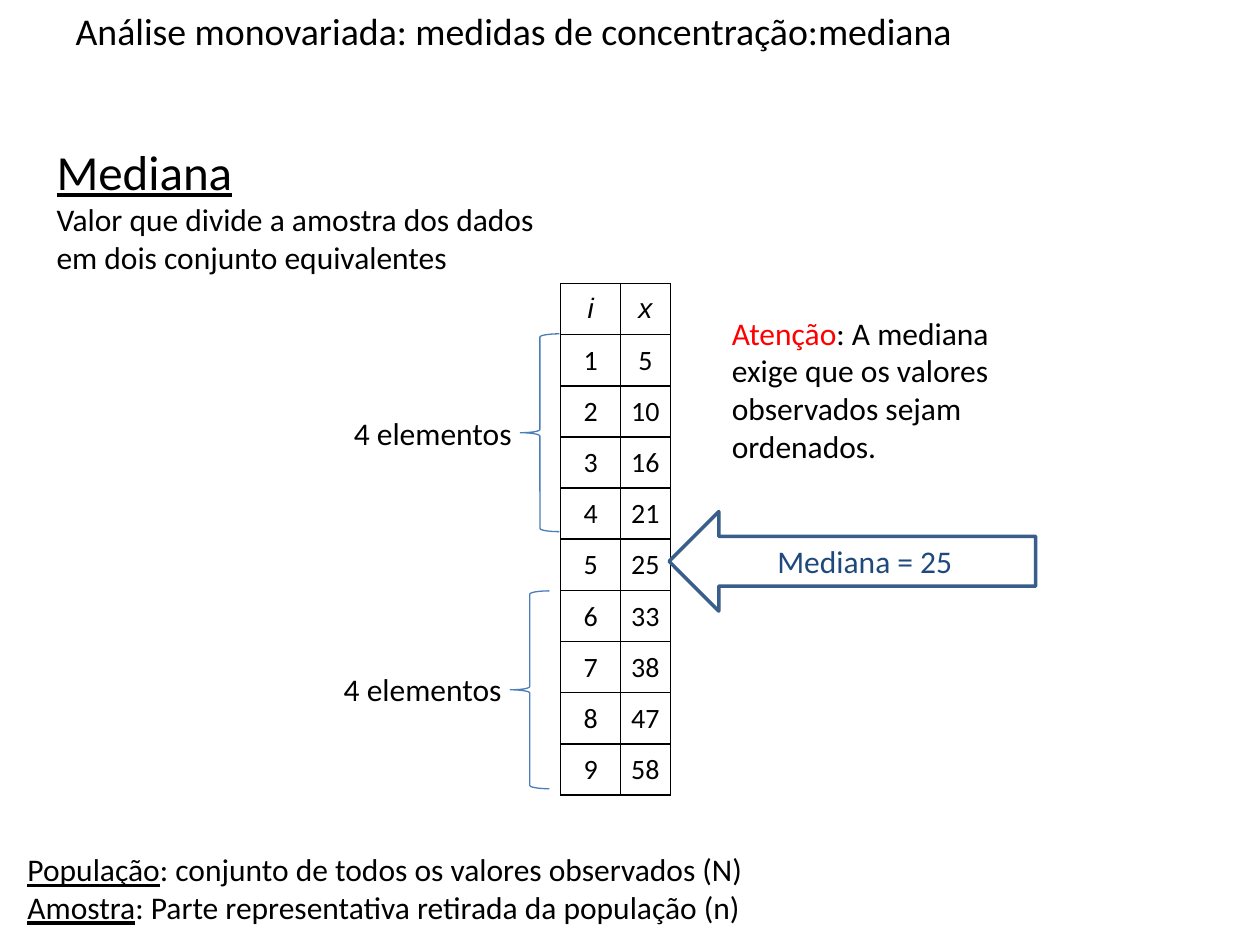
from lxml import etree
from pptx import Presentation
from pptx import util as u
from pptx.dml.color import RGBColor
from pptx.enum import shapes, text
from pptx.oxml.ns import qn

COLORS = {"black": "000000", "red": "FF0000", "navy": "1F497D",
          "arrow": "395E89", "brace": "4A7DBA"}

prs = Presentation()
prs.slide_width, prs.slide_height = u.Inches(10), u.Inches(7.5)
col, row = prs.slide_width / 100, prs.slide_height / 75


def grid(x, y, w, h):
    return [round(v) for v in (x * col, y * row, w * col, h * row)]


def add_run(p, words, size=18, color="black", underline=False, italic=False, font="Calibri"):
    r = p.add_run()
    r.text = words
    r.font.name = font
    r.font.size = u.Pt(size)
    r.font.underline = underline
    r.font.italic = italic
    r.font.color.rgb = RGBColor.from_string(COLORS[color])


s = prs.slides.add_slide(prs.slide_layouts[5])
title = s.shapes.title
title.left, title.top, title.width, title.height = grid(5, 0.5, 90, 3.9)
tf = title.text_frame
tf.auto_size = text.MSO_AUTO_SIZE.NONE
tf.vertical_anchor = text.MSO_ANCHOR.MIDDLE
p = tf.paragraphs[0]
p.alignment = text.PP_ALIGN.LEFT
add_run(p, "Análise monovariada: medidas de concentração:mediana", 21.6)

values = [5, 10, 16, 21, 25, 33, 38, 47, 58]
rows = [("i", "x")] + [(str(i), str(x)) for i, x in enumerate(values, 1)]
row_height = 4.06
table = s.shapes.add_table(len(rows), 2, *grid(44.5, 22.5, 8.7, row_height * len(rows))).table
table.first_row = table.horz_banding = False
for c, width in enumerate((4.75, 3.95)):
    table.columns[c].width = round(width * col)
for n, entries in enumerate(rows):
    table.rows[n].height = round(row_height * row)
    for c, entry in enumerate(entries):
        cell = table.cell(n, c)
        header = n == 0
        cell.vertical_anchor = text.MSO_ANCHOR.MIDDLE
        if not header:
            cell.margin_left = cell.margin_right = cell.margin_top = u.Inches(0.01)
            cell.margin_bottom = 0
        p = cell.text_frame.paragraphs[0]
        p.alignment = text.PP_ALIGN.CENTER
        add_run(p, entry, 16, italic=header, font="Arial" if header else "Calibri")
        tcPr = cell._tc.get_or_add_tcPr()
        for side in ("a:lnL", "a:lnR", "a:lnT", "a:lnB"):
            ln = etree.SubElement(tcPr, qn(side), w=str(u.Pt(1)))
            fill = etree.SubElement(ln, qn("a:solidFill"))
            etree.SubElement(fill, qn("a:srgbClr"), val=COLORS["black"])
        cell.fill.background()

boxes = [
    ((3.5, 10.7, 42.5, 14.8), [
        [("Mediana", 28, "black", True)],
        [("Valor que divide a amostra dos dados em dois conjunto equivalentes",)]]),
    ((57.1, 24.4, 25.2, 13.1), [
        [("Atenção", 18, "red"),
         (": A mediana exige que os valores observados sejam ordenados.",)]]),
    ((1.2, 67, 59.4, 7.1), [
        [("População", 18, "black", True), (": conjunto de todos os valores observados (N)",)],
        [("Amostra", 18, "black", True), (": Parte representativa retirada da população (n)",)]]),
    ((27.1, 32.4, 14.7, 4), [[("4 elementos",)]]),
    ((26.3, 52.7, 14.7, 4), [[("4 elementos",)]]),
]
for place, paragraphs in boxes:
    tf = s.shapes.add_textbox(*grid(*place)).text_frame
    tf.word_wrap = True
    for n, runs in enumerate(paragraphs):
        p = tf.add_paragraph() if n else tf.paragraphs[0]
        for run in runs:
            add_run(p, *run)

outlines = [
    (shapes.MSO_SHAPE.LEFT_ARROW, (53.1, 40.6, 29.1, 7.9), "arrow", 2, "Mediana = 25"),
    (shapes.MSO_SHAPE.LEFT_BRACE, (41.3, 26.5, 3.1, 15.7), "brace", 0.75, ""),
    (shapes.MSO_SHAPE.LEFT_BRACE, (40.5, 46.9, 3.1, 15.7), "brace", 0.75, ""),
]
for kind, place, color, width, label in outlines:
    sp = s.shapes.add_shape(kind, *grid(*place))
    sp.shadow.inherit = False
    sp.fill.background()
    sp.line.color.rgb = RGBColor.from_string(COLORS[color])
    sp.line.width = u.Pt(width)
    if label:
        tf = sp.text_frame
        tf.vertical_anchor = text.MSO_ANCHOR.MIDDLE
        p = tf.paragraphs[0]
        p.alignment = text.PP_ALIGN.CENTER
        add_run(p, label, color="navy")

prs.save("out.pptx")
